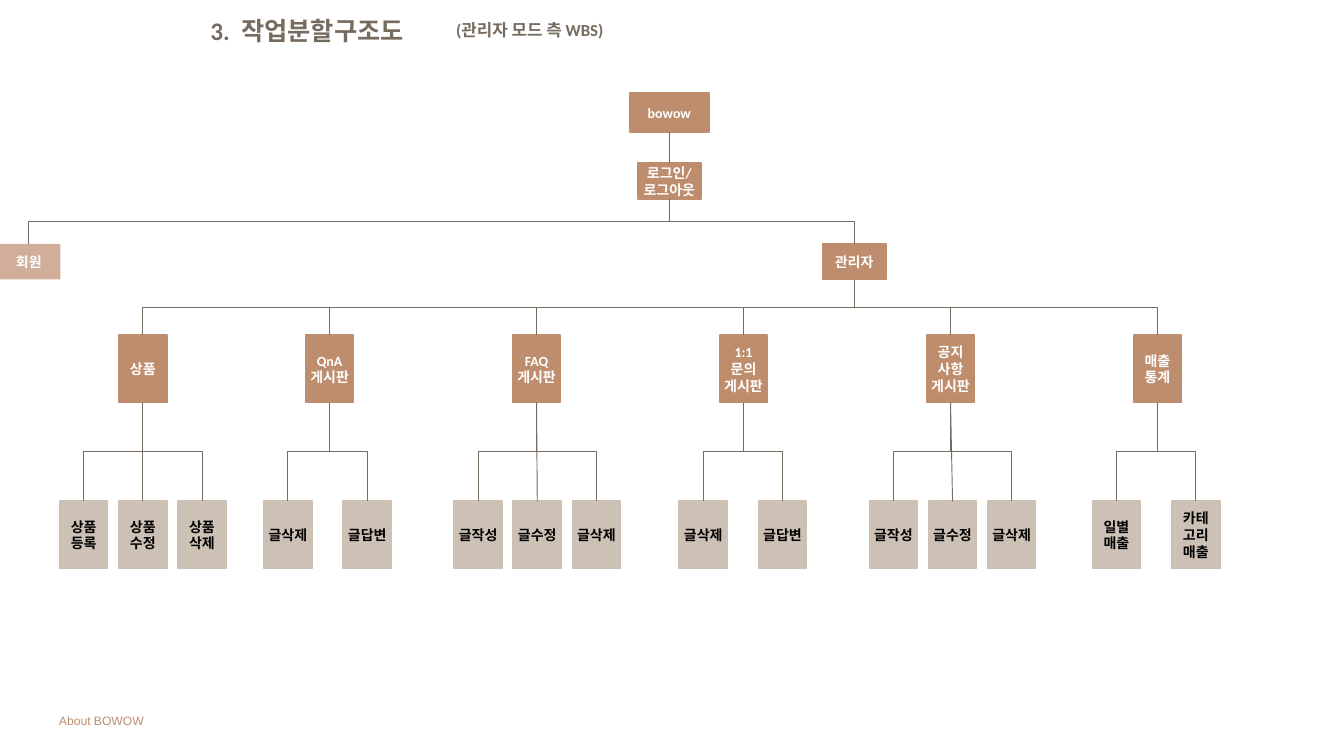
"""Build the administrator-side work breakdown structure slide."""
from lxml import etree
from pptx import Presentation
from pptx import util as u
from pptx.dml.color import RGBColor
from pptx.enum import shapes, text
from pptx.oxml.ns import qn

BROWN = RGBColor(0xBE, 0x8D, 0x6E)
BEIGE = RGBColor(0xCD, 0xC1, 0xB6)
TAUPE = RGBColor(0x75, 0x6B, 0x5F)
WHITE = RGBColor(0xFF, 0xFF, 0xFF)
BLACK = RGBColor(0x00, 0x00, 0x00)

TOP, BOTTOM = 0, 2
MENU_Y, TASK_Y = 4.99, 7.46
CARD = (0.71, 1)
ROLE = (0.94, 0.53)
MENU_STEP = 3.08
TASK_STEP = {2: 1.18, 3: 0.88}

MENUS = [
    ("상품", 1.77, 0.89, ["상품\n등록", "상품\n수정", "상품\n삭제"]),
    ("QnA\n게시판", 4.55, 3.93, ["글삭제", "글답변"]),
    ("FAQ\n게시판", 4.55 + MENU_STEP, 6.76, ["글작성", "글수정", "글삭제"]),
    ("1:1\n문의\n게시판", 4.55 + 2 * MENU_STEP, 10.11, ["글삭제", "글답변"]),
    ("공지\n사항\n게시판", 4.55 + 3 * MENU_STEP, 12.94, ["글작성", "글수정", "글삭제"]),
    ("매출\n통계", 4.55 + 4 * MENU_STEP, 16.26, ["일별\n매출", "카테\n고리\n매출"]),
]


def write(frame, wording, size=15, color=WHITE, bold=True, font="Calibri",
          align=text.PP_ALIGN.LEFT, anchor=text.MSO_ANCHOR.TOP):
    """Fill a text frame, one paragraph a line, in a single format."""
    frame.text = wording
    frame.word_wrap = True
    frame.vertical_anchor = anchor
    for paragraph in frame.paragraphs:
        paragraph.alignment = align
        paragraph.font.size = u.Pt(size)
        paragraph.font.bold = bold
        paragraph.font.name = font
        paragraph.font.color.rgb = color


def add_label(slide, wording, left, top, width, height, **style):
    """Add a free-standing line of text."""
    label = slide.shapes.add_textbox(*map(u.Inches, (left, top, width, height)))
    write(label.text_frame, wording, **style)


def add_box(slide, wording, left, top, size, fill=BROWN, color=WHITE, opacity=None):
    """Add one node of the tree; a translucent node has no outline."""
    box = slide.shapes.add_shape(shapes.MSO_SHAPE.RECTANGLE,
                                 *map(u.Inches, (left, top, *size)))
    box.shadow.inherit = False
    box.fill.solid()
    box.fill.fore_color.rgb = fill
    if opacity is None:
        box.line.color.rgb = fill
        box.line.width = u.Pt(2)
    else:
        box.line.fill.background()
        tint = box.fill._xPr.find(".//" + qn("a:srgbClr"))
        etree.SubElement(tint, qn("a:alpha"), val=str(opacity * 1000))
    frame = box.text_frame
    frame.margin_left = frame.margin_right = frame.margin_top = frame.margin_bottom = 0
    write(frame, wording, color=color, align=text.PP_ALIGN.CENTER,
          anchor=text.MSO_ANCHOR.MIDDLE)
    return box


def add_link(slide, parent, child, kind):
    """Join the bottom of a parent to the top of a child."""
    link = slide.shapes.add_connector(kind, 0, 0, 0, 0)
    link.begin_connect(parent, BOTTOM)
    link.end_connect(child, TOP)
    link.line.color.rgb = TAUPE
    link.line.width = u.Pt(1)
    etree.SubElement(link._element.spPr, qn("a:effectLst"))
    return link


def add_straight(slide, parent, child):
    """Join two nodes by a straight line."""
    add_link(slide, parent, child, shapes.MSO_CONNECTOR.STRAIGHT)


def add_branch(slide, parent, child):
    """Join two nodes by a line that runs down, across and down again."""
    link = add_link(slide, parent, child, shapes.MSO_CONNECTOR.ELBOW)
    start_x = parent.left + parent.width // 2
    end_x = child.left + child.width // 2
    start_y, end_y = parent.top + parent.height, child.top
    drop, span = end_y - start_y, abs(end_x - start_x)
    link.left = (start_x + end_x - drop) // 2
    link.top = (start_y + end_y - span) // 2
    link.width, link.height = drop, span
    rightward = end_x > start_x
    turn = link._element.spPr.find(qn("a:xfrm"))
    turn.set("rot", str((270 if rightward else 90) * 60000))
    turn.set("flipH", "1" if rightward else "0")
    turn.set("flipV", "0")


def add_menu(slide, admin, name, left, first_task, tasks):
    """Add a menu under the administrator together with its tasks."""
    menu = add_box(slide, name, left, MENU_Y, CARD)
    add_branch(slide, admin, menu)
    step = TASK_STEP[len(tasks)]
    for index, wording in enumerate(tasks):
        task = add_box(slide, wording, first_task + index * step, TASK_Y, CARD,
                       fill=BEIGE, color=BLACK)
        is_middle = 2 * index == len(tasks) - 1
        (add_straight if is_middle else add_branch)(slide, menu, task)


def add_title(slide, wording):
    """Place and format the slide title."""
    title = slide.shapes.title
    title.left, title.top, title.width, title.height = map(
        u.Inches, (3.03, 0.18, 4.82, 0.56))
    write(title.text_frame, wording, size=27, color=TAUPE)


def main():
    """Build and save the slide."""
    deck = Presentation()
    deck.slide_width, deck.slide_height = u.Inches(20), u.Inches(11.25)
    slide = deck.slides.add_slide(deck.slide_layouts[5])

    add_title(slide, "3.  작업분할구조도")
    add_label(slide, "(관리자 모드 측 WBS)", 6.69, 0.25, 2.72, 0.4, size=18, color=TAUPE)

    site = add_box(slide, "bowow", 9.37, 1.38, (1.18, 0.59))
    login = add_box(slide, "로그인/\n로그아웃", 9.49, 2.43, ROLE)
    member = add_box(slide, "회원", -0.04, 3.63, ROLE, opacity=70)
    admin = add_box(slide, "관리자", 12.24, 3.63, ROLE)
    add_straight(slide, site, login)
    for role in (member, admin):
        add_branch(slide, login, role)
    for menu in MENUS:
        add_menu(slide, admin, *menu)

    add_label(slide, "About BOWOW", 0.78, 10.57, 3.97, 0.32,
              size=13, color=BROWN, bold=False, font="Arial")
    deck.save("out.pptx")


if __name__ == "__main__":
    main()
